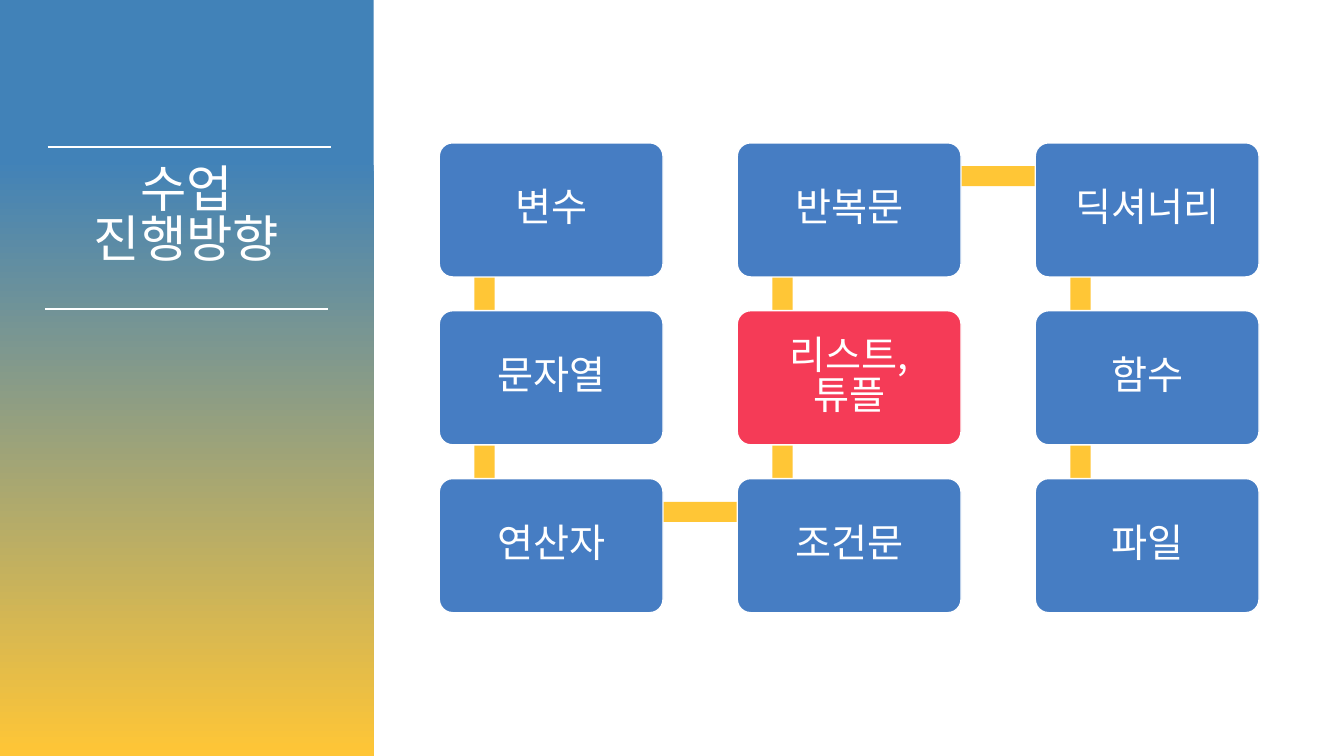
from dataclasses import dataclass
from itertools import pairwise

from pptx import Presentation
from pptx.dml.color import RGBColor as RGB
from pptx.enum.shapes import MSO_CONNECTOR as CONN, MSO_SHAPE as SHAPE
from pptx.enum.text import MSO_ANCHOR as ANCHOR, PP_ALIGN as ALIGN
from pptx.oxml.ns import qn
from pptx.util import Cm, Pt


@dataclass(frozen=True)
class Theme:
    font: str = "Noto Sans CJK KR"
    white: RGB = RGB.from_string("FFFFFF")
    sky: RGB = RGB.from_string("4182B8")
    yellow: RGB = RGB.from_string("FFC636")
    blue: RGB = RGB.from_string("467DC3")
    red: RGB = RGB.from_string("F53B57")
    title_size: int = 36
    topic_size: int = 28
    line_spacing: float = 0.83


class SlideBuilder:
    def __init__(self, slide, theme):
        self.shapes = slide.shapes
        self.theme = theme

    def shape(self, kind, x, y, w, h, color):
        s = self.shapes.add_shape(kind, Cm(x), Cm(y), Cm(w), Cm(h))
        s.shadow.inherit = False
        s.fill.solid()
        s.fill.fore_color.rgb = color
        s.line.fill.background()
        return s

    def label(self, s, text, size):
        tf = s.text_frame
        tf.word_wrap = True
        tf.text = text
        for p in tf.paragraphs:
            p.alignment = ALIGN.CENTER
            p.line_spacing = self.theme.line_spacing
            for r in p.runs:
                r.font.name = self.theme.font
                r.font.size = Pt(size)
                r.font.color.rgb = self.theme.white
                r_pr = r._r.get_or_add_rPr()
                ea = r_pr.makeelement(qn("a:ea"), {"typeface": self.theme.font})
                r_pr.find(qn("a:latin")).addnext(ea)

    def panel(self, w, h):
        s = self.shape(SHAPE.RECTANGLE, 0, 0, w, h, self.theme.sky)
        s.fill.gradient()
        s.fill.gradient_angle = 270
        stops = ((0.21, self.theme.sky), (1, self.theme.yellow))
        for stop, (position, color) in zip(s.fill.gradient_stops, stops):
            stop.position = position
            stop.color.rgb = color

    def rule(self, x, y, w):
        c = self.shapes.add_connector(CONN.STRAIGHT, Cm(x), Cm(y), Cm(x + w), Cm(y))
        c.line.color.rgb = self.theme.white
        c.line.width = Pt(1.5)
        sp_pr = c._element.spPr
        sp_pr.append(sp_pr.makeelement(qn("a:effectLst"), {}))

    def title(self, text, x, y, w, h):
        s = self.shapes.add_textbox(Cm(x), Cm(y), Cm(w), Cm(h))
        self.label(s, text, self.theme.title_size)

    def link(self, start, end, thickness):
        (x1, y1), (x2, y2) = sorted((start, end))
        half = thickness / 2
        if x1 == x2:
            box = (x1 - half, y1, thickness, y2 - y1)
        else:
            box = (x1, y1 - half, x2 - x1, thickness)
        self.shape(SHAPE.RECTANGLE, *box, self.theme.yellow)

    def topic(self, text, x, y, w, h, color):
        s = self.shape(SHAPE.ROUNDED_RECTANGLE, x, y, w, h, color)
        s.adjustments[0] = 0.1
        s.line.color.rgb = self.theme.white
        s.line.width = Pt(1)
        tf = s.text_frame
        tf.vertical_anchor = ANCHOR.MIDDLE
        tf.margin_left = tf.margin_right = Cm(0.4)
        tf.margin_top = tf.margin_bottom = Cm(0.3)
        self.label(s, text, self.theme.topic_size)


TOPICS = ("변수", "문자열", "연산자", "조건문", "리스트,튜플", "반복문", "딕셔너리", "함수", "파일")
CURRENT = "리스트,튜플"
ROWS = 3
LEFT, TOP = 11.07, 3.6
PITCH_X, PITCH_Y = 7.51, 4.23
TOPIC_W, TOPIC_H = 5.64, 3.38
LINK_X, LINK_Y, LINK_THICKNESS = 1.14, 0.84, 0.51


def snake_position(index):
    col, row = divmod(index, ROWS)
    if col % 2:
        row = ROWS - 1 - row
    return LEFT + col * PITCH_X, TOP + row * PITCH_Y


def main():
    prs = Presentation()
    prs.slide_width, prs.slide_height = Cm(33.87), Cm(19.05)
    theme = Theme()
    b = SlideBuilder(prs.slides.add_slide(prs.slide_layouts[6]), theme)

    b.panel(9.42, 19.05)
    b.rule(1.2, 3.7, 7.14)
    b.rule(1.13, 7.78, 7.14)
    b.title("수업\n진행방향", 0, 4.1, 9.4, 3.33)

    positions = [snake_position(i) for i in range(len(TOPICS))]
    joints = [(x + LINK_X, y + LINK_Y) for x, y in positions]
    for start, end in pairwise(joints):
        b.link(start, end, LINK_THICKNESS)
    for text, (x, y) in zip(TOPICS, positions):
        color = theme.red if text == CURRENT else theme.blue
        b.topic(text, x, y, TOPIC_W, TOPIC_H, color)

    prs.save("out.pptx")


if __name__ == "__main__":
    main()
